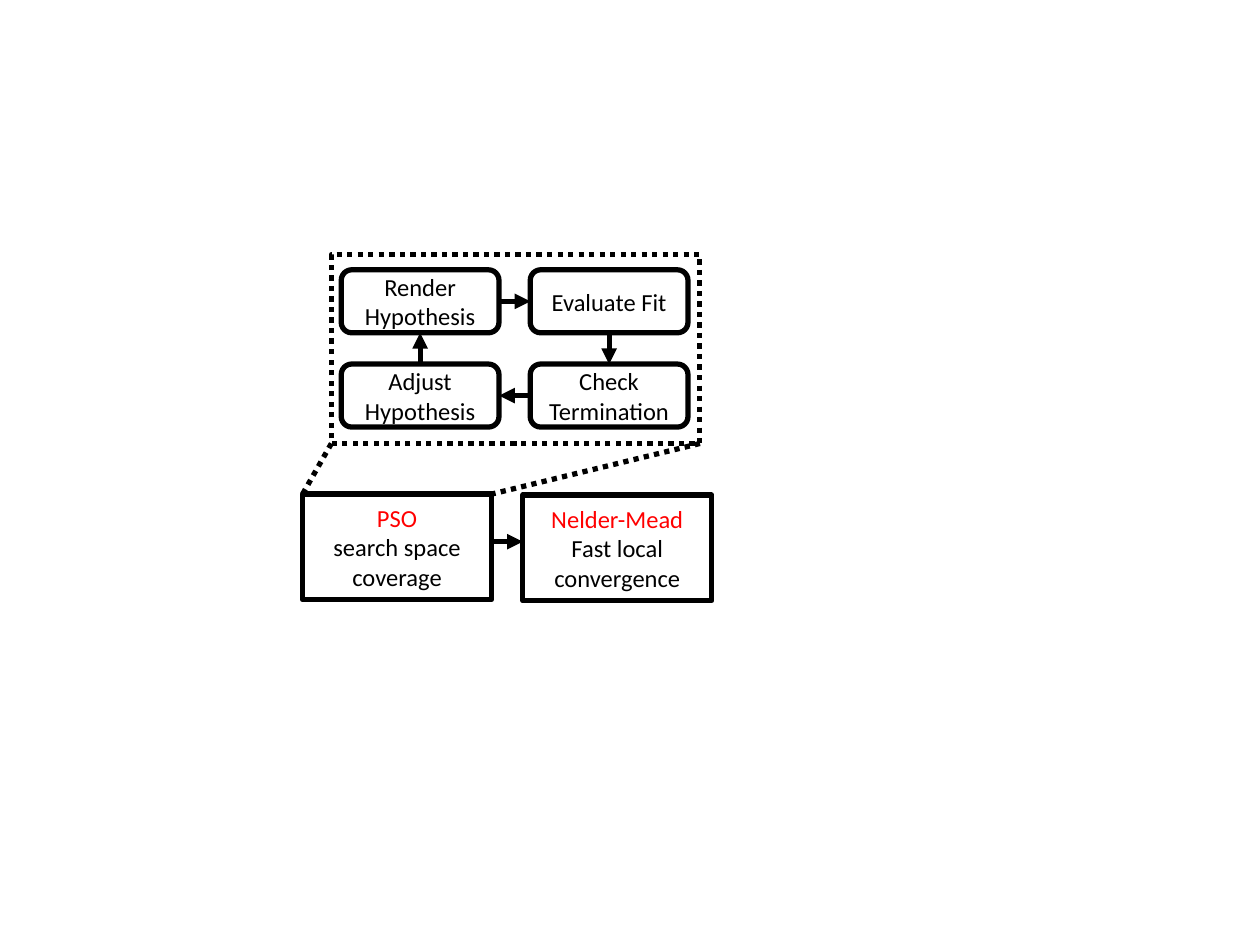
from dataclasses import dataclass

from lxml import etree
from pptx import Presentation
from pptx import util as u
from pptx.dml import color as col
from pptx.enum import dml, shapes, text
from pptx.oxml import ns


@dataclass(frozen=True)
class Theme:
    ink: col.RGBColor = col.RGBColor(0, 0, 0)
    paper: col.RGBColor = col.RGBColor(255, 255, 255)
    accent: col.RGBColor = col.RGBColor(255, 0, 0)
    font: str = "Calibri"
    size: u.Pt = u.Pt(14)
    width: u.Pt = u.Pt(3)


@dataclass(frozen=True)
class Box:
    left: float
    top: float
    wide: float
    high: float
    words: str
    round: bool = True
    titled: bool = False


THEME = Theme()
KIND = shapes.MSO_SHAPE
TOP, LEFT, BOTTOM, RIGHT = range(4)


def style(line, dotted: bool = False) -> None:
    line.color.rgb = THEME.ink
    line.width = THEME.width
    if dotted:
        line.dash_style = dml.MSO_LINE.ROUND_DOT


def draw_frame(slide, left: float, top: float, wide: float, high: float):
    frame = slide.shapes.add_shape(
        KIND.RECTANGLE, u.Cm(left), u.Cm(top), u.Cm(wide), u.Cm(high))
    frame.shadow.inherit = False
    frame.fill.solid()
    frame.fill.fore_color.rgb = THEME.paper
    style(frame.line, dotted=True)
    return frame


def draw_box(slide, box: Box):
    shape = slide.shapes.add_shape(
        KIND.ROUNDED_RECTANGLE,
        u.Cm(box.left), u.Cm(box.top), u.Cm(box.wide), u.Cm(box.high))
    if not box.round:
        shape.adjustments[0] = 0
    shape.shadow.inherit = False
    shape.fill.background()
    style(shape.line)
    body = shape.text_frame
    body.text = box.words
    body.word_wrap = True
    body.vertical_anchor = text.MSO_ANCHOR.MIDDLE
    for row, para in enumerate(body.paragraphs):
        para.alignment = text.PP_ALIGN.CENTER
        for run in para.runs:
            run.font.name = THEME.font
            run.font.size = THEME.size
            red = box.titled and row == 0
            run.font.color.rgb = THEME.accent if red else THEME.ink
    return shape


def draw_line(slide, start: tuple[int, int], end: tuple[int, int],
              dotted: bool = False, arrow: bool = False):
    line = slide.shapes.add_connector(
        shapes.MSO_CONNECTOR.STRAIGHT, *start, *end)
    style(line.line, dotted)
    props = line._element.spPr
    if arrow:
        tail = etree.SubElement(props.find(ns.qn("a:ln")), ns.qn("a:tailEnd"))
        tail.set("type", "triangle")
    etree.SubElement(props, ns.qn("a:effectLst"))
    return line


def join(slide, first, out: int, second, into: int) -> None:
    line = draw_line(slide, (0, 0), (0, 0), arrow=True)
    line.begin_connect(first, out)
    line.end_connect(second, into)


def draw_loop(slide) -> None:
    left, top, wide, high, gap = 6.88, 5.44, 3.18, 1.27, 0.63
    grid = [
        ("Render Hypothesis", 0, 0),
        ("Evaluate Fit", 1, 0),
        ("Check Termination", 1, 1),
        ("Adjust Hypothesis", 0, 1),
    ]
    steps = [
        draw_box(slide, Box(left + c * (wide + gap), top + r * (high + gap),
                            wide, high, words))
        for words, c, r in grid
    ]
    sides = [(RIGHT, LEFT), (BOTTOM, TOP), (LEFT, RIGHT), (TOP, BOTTOM)]
    for i, (out, into) in enumerate(sides):
        join(slide, steps[i], out, steps[(i + 1) % len(steps)], into)


def draw_stages(slide):
    wide, high = 3.81, 2.13
    swarm = draw_box(slide, Box(
        6.1, 9.96, wide, high, "PSO\nsearch space coverage", False, True))
    local = draw_box(slide, Box(
        10.54, 9.98, wide, high, "Nelder-Mead\nFast local convergence",
        False, True))
    level = u.Cm(10.92)
    draw_line(slide, (swarm.left + swarm.width, level), (local.left, level),
              arrow=True)
    return swarm


def main() -> None:
    deck = Presentation()
    deck.slide_width, deck.slide_height = u.Cm(25.4), u.Cm(19.05)
    slide = deck.slides.add_slide(deck.slide_layouts[6])
    frame = draw_frame(slide, 6.68, 5.13, 7.43, 3.81)
    draw_loop(slide)
    swarm = draw_stages(slide)
    base = frame.top + frame.height
    for side in (0, 1):
        draw_line(slide, (frame.left + side * frame.width, base),
                  (swarm.left + side * swarm.width, swarm.top), dotted=True)
    deck.save("out.pptx")


if __name__ == "__main__":
    main()
